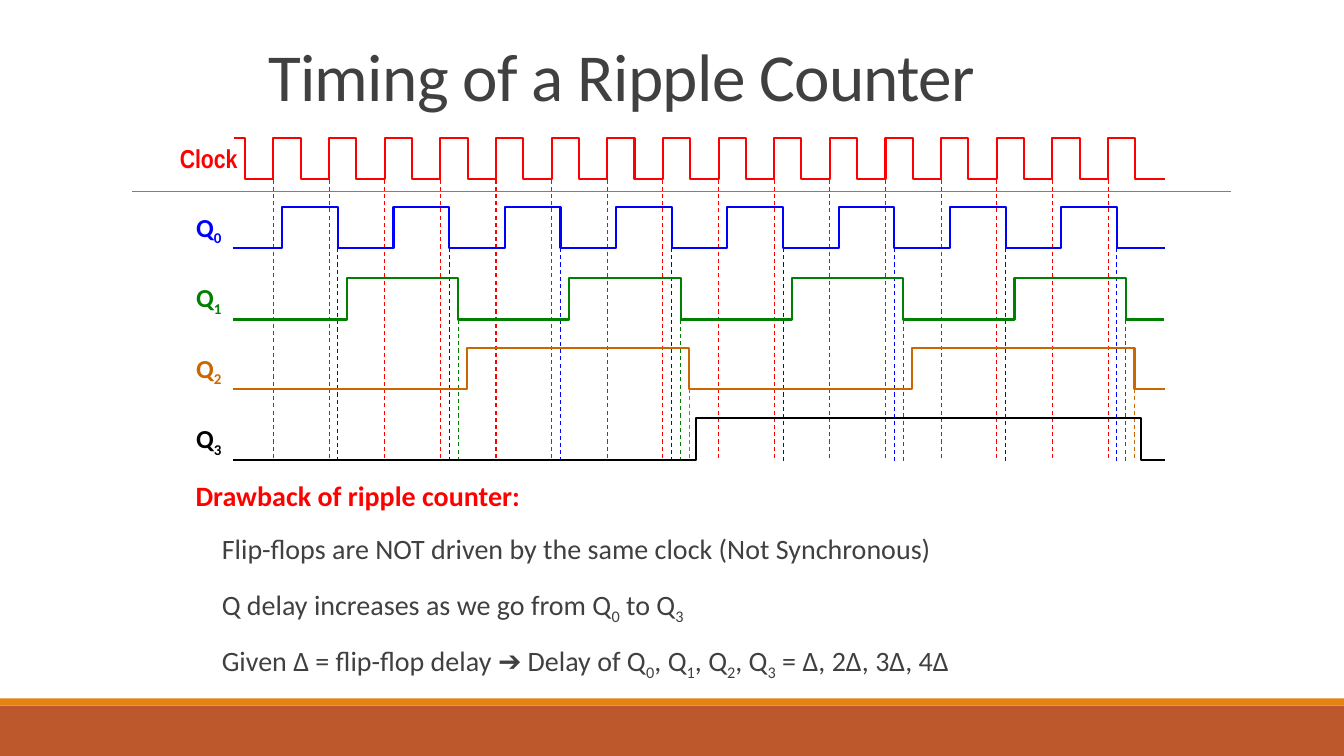
"""Build the slide on the timing of a ripple counter."""
from dataclasses import dataclass

from lxml.etree import SubElement
from pptx import Presentation
from pptx.dml.color import RGBColor
from pptx.enum.dml import MSO_LINE
from pptx.enum.shapes import MSO_CONNECTOR, MSO_SHAPE
from pptx.enum.text import MSO_ANCHOR, MSO_AUTO_SIZE, PP_ALIGN
from pptx.oxml.ns import qn
from pptx.slide import Slide
from pptx.text.text import _Paragraph
from pptx.util import Inches, Pt


@dataclass(frozen=True)
class Theme:
    text: str = "404040"
    rule: str = "808080"
    footer: str = "BD582C"
    footer_edge: str = "E48312"
    clock: str = "FF0000"
    q0: str = "0000FF"
    q1: str = "008000"
    q2: str = "CC6600"
    q3: str = "000000"
    font: str = "Calibri"
    clock_font: str = "Arial Narrow"
    title_size: float = 48
    body_size: float = 20
    label_size: float = 18.5


@dataclass(frozen=True)
class Signal:
    label: str
    color: str
    font: str
    high: float
    first_rise: float
    high_time: float
    period: float
    pulses: int

    @property
    def low(self) -> float:
        return self.high + SWING

    def rises(self) -> list[float]:
        return [self.first_rise + k * self.period for k in range(self.pulses)]

    def falls(self) -> list[float]:
        return [rise + self.high_time for rise in self.rises()]


@dataclass(frozen=True)
class Statement:
    text: str
    color: str
    indent: float
    bold: bool = False


THEME = Theme()
WAVE_LEFT, WAVE_RIGHT = 2.31, 11.55
SWING = 0.41
LEAD, TAIL = 0.42, 0.87
GUIDE_BOTTOM = 4.57
LABEL_TOP, LABEL_PITCH = 1.37, 0.7
TICK = (11.26 - 2.43) / 16

CLOCK = Signal("Clock", THEME.clock, THEME.clock_font, 1.37, 2.16, 0.27, TICK, 17)
OUTPUTS = [
    Signal(f"Q_{bit}", color, THEME.font, high, first_rise, TICK * 2**bit, TICK * 2 ** (bit + 1), 8 // 2**bit)
    for bit, (color, high, first_rise) in enumerate(
        [(THEME.q0, 2.05, 2.8), (THEME.q1, 2.76, 3.44), (THEME.q2, 3.45, 4.63), (THEME.q3, 4.15, 6.9)]
    )
]
STATEMENTS = [
    Statement("Drawback of ripple counter:", THEME.clock, 0.1, True),
    Statement("Flip-flops are NOT driven by the same clock (Not Synchronous)", THEME.text, 0.36),
    Statement("Q delay increases as we go from Q_0 to Q_3", THEME.text, 0.36),
    Statement("Given Δ = flip-flop delay ➔ Delay of Q_0, Q_1, Q_2, Q_3 = Δ, 2Δ, 3Δ, 4Δ", THEME.text, 0.36),
]


def rgb(color: str) -> RGBColor:
    return RGBColor.from_string(color)


def write(paragraph: _Paragraph, text: str, font: str, size: float, color: str, bold: bool = False) -> None:
    """Write text, lowering each character that follows an underscore."""
    paragraph.font.name = font
    paragraph.font.size = Pt(size)
    paragraph.font.bold = bold
    paragraph.font.color.rgb = rgb(color)
    start, *marked = text.split("_")
    paragraph.add_run().text = start
    for part in marked:
        subscript = paragraph.add_run()
        subscript.text = part[0]
        subscript._r.get_or_add_rPr().set("baseline", "-25000")
        if part[1:]:
            paragraph.add_run().text = part[1:]


def add_band(slide: Slide, top: float, height: float, color: str) -> None:
    band = slide.shapes.add_shape(MSO_SHAPE.RECTANGLE, 0, Inches(top), Inches(13.33), Inches(height))
    band.shadow.inherit = False
    band.fill.solid()
    band.fill.fore_color.rgb = rgb(color)
    band.line.fill.background()


def add_line(
    slide: Slide, start: tuple[float, float], end: tuple[float, float], color: str, width: float, dashed: bool = False
) -> None:
    line = slide.shapes.add_connector(MSO_CONNECTOR.STRAIGHT, *map(Inches, start + end))
    line.line.color.rgb = rgb(color)
    line.line.width = Pt(width)
    if dashed:
        line.line.dash_style = MSO_LINE.DASH
    SubElement(line._element.spPr, qn("a:effectLst"))


def add_title(slide: Slide) -> None:
    title = slide.shapes.title
    title.left, title.top, title.width, title.height = map(Inches, (2.56, 0.31, 8.25, 0.88))
    frame = title.text_frame
    frame.auto_size = MSO_AUTO_SIZE.NONE
    frame.vertical_anchor = MSO_ANCHOR.BOTTOM
    heading = frame.paragraphs[0]
    heading.alignment = PP_ALIGN.LEFT
    heading.line_spacing = 0.85
    write(heading, "Timing of a Ripple Counter", THEME.font, THEME.title_size, THEME.text)
    heading.runs[0]._r.get_or_add_rPr().set("spc", "-50")


def add_trace(slide: Slide, points: list[tuple[float, float]], color: str) -> None:
    corners = [(Inches(x), Inches(y)) for x, y in points]
    outline = slide.shapes.build_freeform(*corners[0])
    outline.add_line_segments(corners[1:], close=False)
    trace = outline.convert_to_shape()
    trace.shadow.inherit = False
    trace.fill.background()
    trace.line.color.rgb = rgb(color)
    trace.line.width = Pt(1.5)


def add_wave(slide: Slide, signal: Signal) -> None:
    """Draw one trace per low phase, overlapping along the high level."""
    high, low = signal.high, signal.low
    lead, tail = LEAD * signal.high_time, TAIL * signal.high_time
    rises = signal.rises()
    dips = list(zip(signal.falls(), rises[1:] + [None]))
    if rises[0] > WAVE_LEFT:
        dips.insert(0, (None, rises[0]))
    for fall, rise in dips:
        before = [(WAVE_LEFT, low)] if fall is None else [(fall - lead, high), (fall, high), (fall, low)]
        after = [(WAVE_RIGHT, low)] if rise is None else [(rise, low), (rise, high), (rise + tail, high)]
        add_trace(slide, before + after, signal.color)


def add_label(slide: Slide, signal: Signal, top: float) -> None:
    label = slide.shapes.add_textbox(Inches(1.72), Inches(top), Inches(0.7), Inches(0.4))
    frame = label.text_frame
    frame.margin_left = frame.margin_right = frame.margin_top = frame.margin_bottom = 0
    frame.word_wrap = False
    frame.vertical_anchor = MSO_ANCHOR.MIDDLE
    frame.paragraphs[0].alignment = PP_ALIGN.CENTER
    write(frame.paragraphs[0], signal.label, signal.font, THEME.label_size, signal.color, True)


def add_statements(slide: Slide) -> None:
    body = slide.shapes.add_textbox(Inches(1.84), Inches(4.74), Inches(9.6), Inches(2.15))
    frame = body.text_frame
    frame.word_wrap = True
    frame.margin_left = frame.margin_right = 0
    for number, statement in enumerate(STATEMENTS):
        paragraph = frame.add_paragraph() if number else frame.paragraphs[0]
        paragraph.line_spacing = 0.9
        paragraph.space_before = Pt(13.8)
        paragraph.space_after = Pt(2)
        paragraph._p.get_or_add_pPr().set("marL", str(Inches(statement.indent)))
        write(paragraph, statement.text, THEME.font, THEME.body_size, statement.color, statement.bold)


def main() -> None:
    deck = Presentation()
    deck.slide_width, deck.slide_height = Inches(13.33), Inches(7.5)
    slide = deck.slides.add_slide(deck.slide_layouts[5])
    add_band(slide, 7, 0.5, THEME.footer)
    add_band(slide, 6.93, 0.07, THEME.footer_edge)
    add_line(slide, (1.31, 1.9), (12.21, 1.9), THEME.rule, 0.5)
    add_title(slide)
    add_statements(slide)
    for row, signal in enumerate([CLOCK, *OUTPUTS]):
        add_wave(slide, signal)
        add_label(slide, signal, LABEL_TOP + row * LABEL_PITCH)
        triggers = signal.rises()[1:] if signal is CLOCK else signal.falls()
        if signal is not OUTPUTS[-1]:
            for x in triggers:
                add_line(slide, (x, signal.low), (x, GUIDE_BOTTOM), signal.color, 0.75, dashed=True)
    deck.save("out.pptx")


if __name__ == "__main__":
    main()
